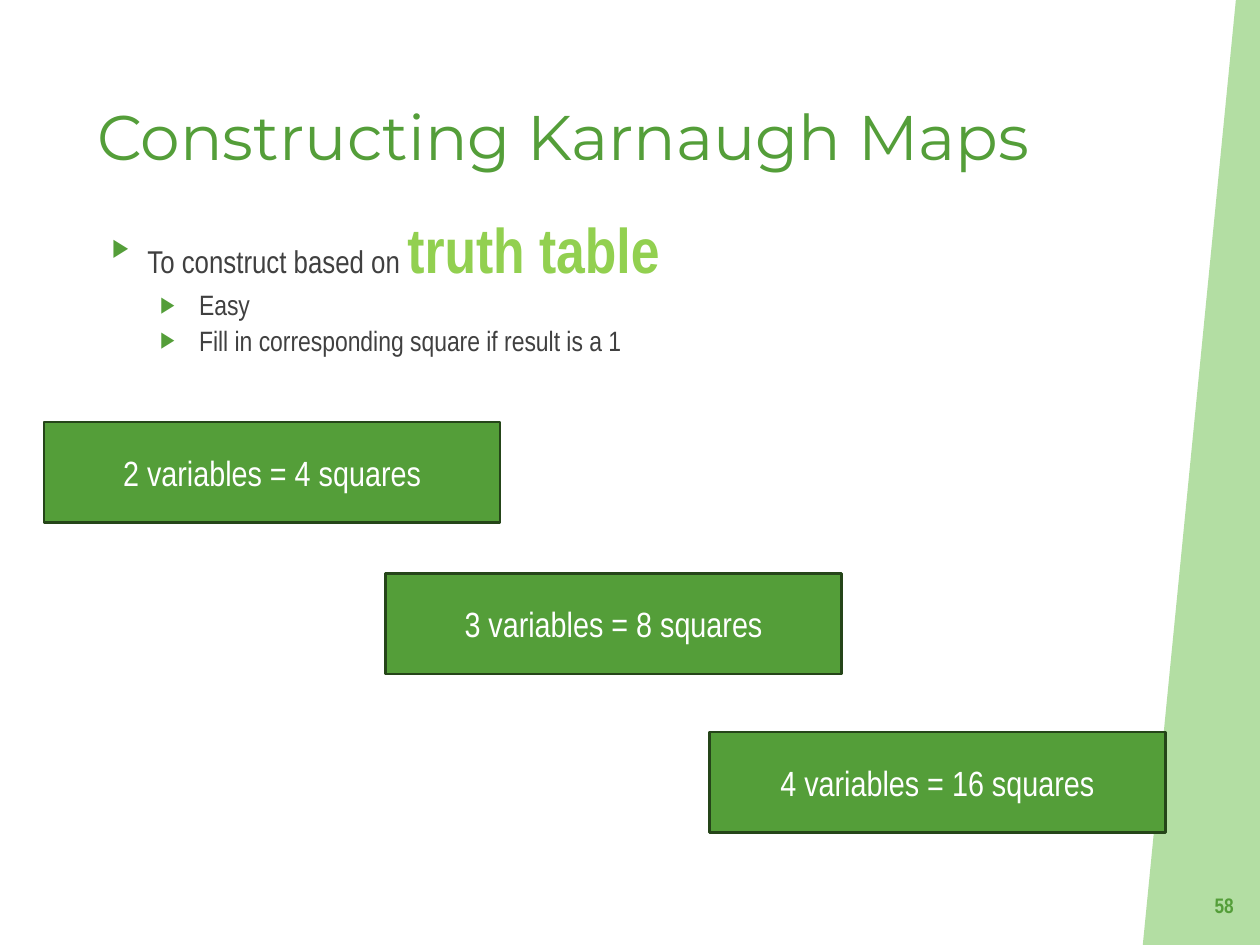
import pptx
import pptx.dml.color
import pptx.enum.shapes
import pptx.enum.text
import pptx.oxml
import pptx.oxml.ns
import pptx.util

Inches = pptx.util.Inches
Pt = pptx.util.Pt
ALIGN = pptx.enum.text.PP_ALIGN
MIDDLE = pptx.enum.text.MSO_ANCHOR.MIDDLE

COLORS = {
    "green": "549E39",
    "lime": "92D050",
    "panel": "93D07D",
    "outline": "254519",
    "text": "404040",
    "white": "FFFFFF",
}
BODY_FONT = "Arial Narrow"
BOX_SIZE = (3.62, 0.8)
BOXES = [
    (0.35, 3.35, "2 variables = 4 squares"),
    (3.06, 4.55, "3 variables = 8 squares"),
    (5.63, 5.81, "4 variables = 16 squares"),
]


def rgb(name):
    return pptx.dml.color.RGBColor.from_string(COLORS[name])


def drawing_element(tag, **attributes):
    element = pptx.oxml.parse_xml(f'<a:{tag} {pptx.oxml.ns.nsdecls("a")}/>')
    for name, value in attributes.items():
        element.set(name, str(value))
    return element


def add_text(paragraph, text, size, color="text", font=BODY_FONT, bold=False, align=ALIGN.LEFT):
    paragraph.alignment = align
    run = paragraph.add_run()
    run.text = text
    run.font.size = Pt(size)
    run.font.name = font
    run.font.bold = bold
    run.font.color.rgb = rgb(color)


def place(shape, left, top, width, height):
    shape.left, shape.top = Inches(left), Inches(top)
    shape.width, shape.height = Inches(width), Inches(height)


def add_side_panel(slide):
    """Draw the translucent slanted band along the right edge."""
    builder = slide.shapes.build_freeform(Inches(9.81), Inches(-0.01))
    corners = [(9.07, 7.5), (10.01, 7.5), (10, -0.01)]
    builder.add_line_segments([(Inches(x), Inches(y)) for x, y in corners], close=True)
    panel = builder.convert_to_shape()
    panel.shadow.inherit = False
    panel.fill.solid()
    panel.fill.fore_color.rgb = rgb("panel")
    panel.line.fill.background()
    color = panel.fill._xPr.find(".//" + pptx.oxml.ns.qn("a:srgbClr"))
    color.append(drawing_element("alpha", val=70000))


def add_title(slide, text):
    title = slide.shapes.title
    place(title, 0.67, 0.67, 8.41, 0.8)
    title.text_frame.vertical_anchor = MIDDLE
    add_text(title.text_frame.paragraphs[0], text, 36, "green", "Montserrat")


def format_bullet(paragraph, level):
    paragraph.level = level
    indent, hanging = [(0.4, -0.28), (0.81, -0.31)][level]
    properties = paragraph._p.get_or_add_pPr()
    properties.set("marL", str(Inches(indent)))
    properties.set("indent", str(Inches(hanging)))
    paragraph.space_before = Pt(level)
    bullet_color = drawing_element("buClr")
    bullet_color.append(drawing_element("srgbClr", val=COLORS["green"]))
    properties.append(bullet_color)
    properties.append(drawing_element("buSzPct", val=80000))
    properties.append(drawing_element("buFont", typeface="Arial"))
    properties.append(drawing_element("buChar", char="▶"))


def add_body(slide):
    body = slide.placeholders[1]
    place(body, 0.67, 1.62, 8.41, 4.98)
    frame = body.text_frame
    lead = frame.paragraphs[0]
    format_bullet(lead, 0)
    add_text(lead, "To construct based on ", 18)
    add_text(lead, "truth table", 36, "lime", bold=True)
    for text in ("Easy", "Fill in corresponding square if result is a 1"):
        paragraph = frame.add_paragraph()
        format_bullet(paragraph, 1)
        add_text(paragraph, text, 16)


def add_box(slide, left, top, text):
    box = slide.shapes.add_shape(
        pptx.enum.shapes.MSO_SHAPE.RECTANGLE, 0, 0, 0, 0)
    place(box, left, top, *BOX_SIZE)
    box.shadow.inherit = False
    box.fill.solid()
    box.fill.fore_color.rgb = rgb("green")
    box.line.color.rgb = rgb("outline")
    box.line.width = Pt(1.5)
    box.text_frame.word_wrap = True
    box.text_frame.vertical_anchor = MIDDLE
    add_text(box.text_frame.paragraphs[0], text, 20, "white", align=ALIGN.CENTER)


def add_slide_number(slide, number):
    box = slide.shapes.add_textbox(0, 0, 0, 0)
    place(box, 9.33, 6.98, 0.56, 0.4)
    box.text_frame.word_wrap = True
    box.text_frame.vertical_anchor = MIDDLE
    add_text(box.text_frame.paragraphs[0], number, 12, "green", bold=True, align=ALIGN.RIGHT)


def main():
    presentation = pptx.Presentation()
    presentation.slide_width, presentation.slide_height = Inches(10), Inches(7.5)
    slide = presentation.slides.add_slide(presentation.slide_layouts[1])
    add_side_panel(slide)
    add_title(slide, "Constructing Karnaugh Maps")
    add_body(slide)
    for left, top, text in BOXES:
        add_box(slide, left, top, text)
    add_slide_number(slide, "58")
    presentation.save("out.pptx")


if __name__ == "__main__":
    main()
